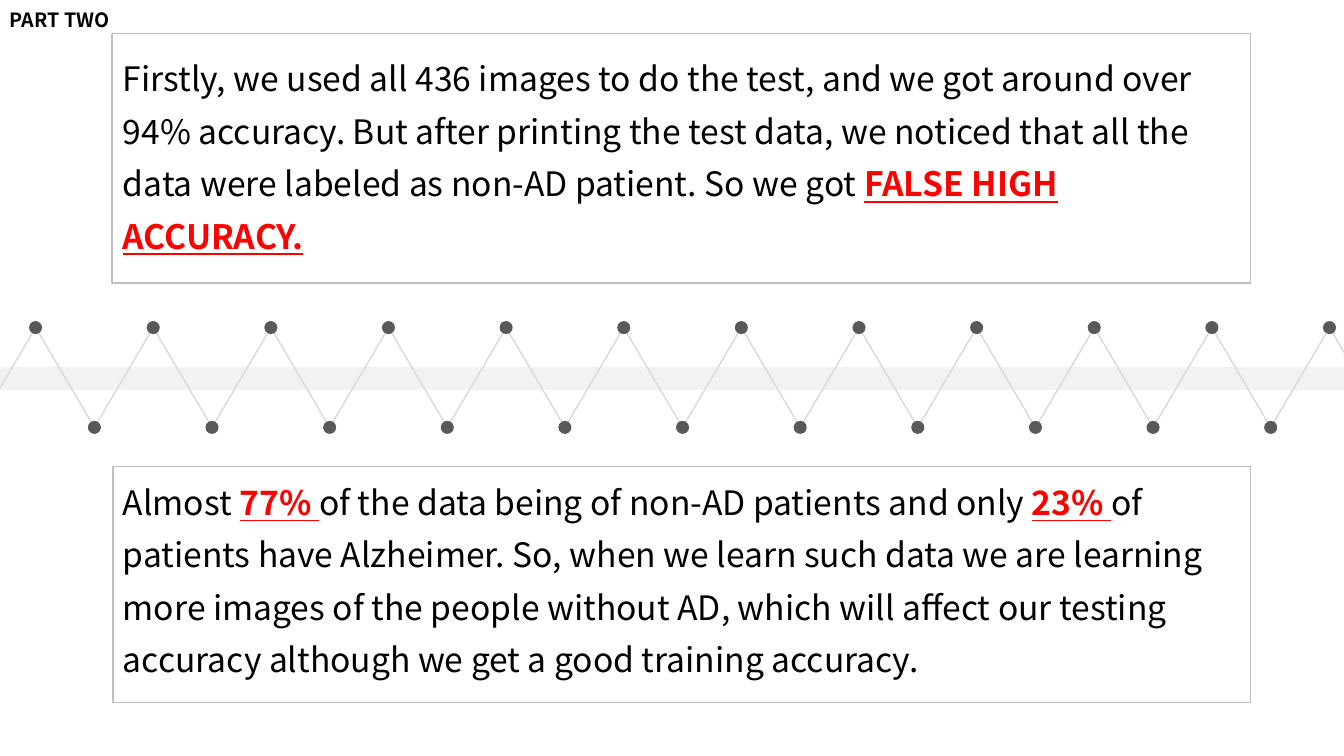
from dataclasses import dataclass

from lxml import etree
from pptx import Presentation
from pptx import util as u
from pptx.dml import color, fill
from pptx.enum import shapes, text
from pptx.oxml import ns
from pptx.shapes.autoshape import Shape
from pptx.slide import Slide

COLORS = {
    "band": "F2F2F2",
    "zigzag": "D9D9D9",
    "dot": "595959",
    "frame": "BFBFBF",
    "paper": "FFFFFF",
    "ink": "000000",
    "alert": "FF0000",
}
FONT = "Noto Sans CJK SC"
PEAKS = 12
PITCH = 7 / 6
ZIGZAG_LEFT = -0.23
PEAK_Y, VALLEY_Y = 3.25, 4.24
DOT = 0.13


@dataclass(frozen=True)
class Area:
    left: float
    top: float
    width: float
    height: float

    def lengths(self) -> tuple[u.Length, ...]:
        return tuple(u.Inches(n) for n in (self.left, self.top, self.width, self.height))


@dataclass(frozen=True)
class Span:
    words: str
    alert: bool = False


@dataclass(frozen=True)
class Finding:
    frame: Area
    body: Area
    spans: tuple[Span, ...]


FINDINGS = (
    Finding(
        Area(1.11, 0.33, 11.29, 2.48),
        Area(1.12, 0.41, 11.28, 2.68),
        (
            Span("Firstly, we used all 436 images to do the test, and we got around over "
                 "94% accuracy. But after printing the test data, we noticed that all the "
                 "data were labeled as non-AD patient. So we got "),
            Span("FALSE HIGH ACCURACY.", alert=True),
        ),
    ),
    Finding(
        Area(1.12, 4.63, 11.28, 2.34),
        Area(1.12, 4.61, 11.28, 2.68),
        (
            Span("Almost "),
            Span("77% ", alert=True),
            Span("of the data being of non-AD patients and only "),
            Span("23% ", alert=True),
            Span("of patients have Alzheimer. So, when we learn such data we are learning "
                 "more images of the people without AD, which will affect our testing "
                 "accuracy although we get a good training accuracy."),
        ),
    ),
)


def paint(target: fill.FillFormat, name: str | None) -> None:
    if name is None:
        target.background()
    else:
        target.solid()
        target.fore_color.rgb = color.RGBColor.from_string(COLORS[name])


def add_shape(page: Slide, kind: shapes.MSO_SHAPE, area: Area, *,
              inside: str | None = None, outline: str | None = None) -> Shape:
    shape = page.shapes.add_shape(kind, *area.lengths())
    shape.shadow.inherit = False
    paint(shape.fill, inside)
    paint(shape.line.fill, outline)
    if outline:
        shape.line.width = u.Pt(1)
    return shape


def add_text(page: Slide, area: Area, spans: tuple[Span, ...], *, size: float,
             spacing: float, bold: bool = False,
             anchor: text.MSO_ANCHOR = text.MSO_ANCHOR.TOP) -> None:
    frame = page.shapes.add_textbox(*area.lengths()).text_frame
    frame.word_wrap = True
    frame.vertical_anchor = anchor
    para = frame.paragraphs[0]
    para.line_spacing = spacing
    for span in spans:
        run = para.add_run()
        run.text = span.words
        run.font.name = FONT
        run.font.size = u.Pt(size)
        run.font.bold = bold or span.alert
        run.font.underline = span.alert
        paint(run.font.fill, "alert" if span.alert else "ink")


def add_base_line(page: Slide) -> None:
    line = page.shapes.add_connector(
        shapes.MSO_CONNECTOR.STRAIGHT,
        u.Inches(ZIGZAG_LEFT), u.Inches(VALLEY_Y),
        u.Inches(ZIGZAG_LEFT + PEAKS * PITCH), u.Inches(VALLEY_Y))
    paint(line.line.fill, "paper")
    line.line.width = u.Pt(3)
    etree.SubElement(line._element.spPr, ns.qn("a:effectLst"))


def add_zigzag(page: Slide) -> None:
    add_shape(page, shapes.MSO_SHAPE.RECTANGLE, Area(0, 3.64, 13.33, 0.23), inside="band")
    for peak in range(PEAKS):
        area = Area(ZIGZAG_LEFT + peak * PITCH, PEAK_Y, PITCH, VALLEY_Y - PEAK_Y)
        add_shape(page, shapes.MSO_SHAPE.ISOSCELES_TRIANGLE, area, outline="zigzag")
    add_base_line(page)
    for corner in range(1, 2 * PEAKS):
        middle = ZIGZAG_LEFT + corner * PITCH / 2
        height = PEAK_Y if corner % 2 else VALLEY_Y
        area = Area(middle - DOT / 2, height - DOT / 2, DOT, DOT)
        add_shape(page, shapes.MSO_SHAPE.OVAL, area, inside="dot")


def main() -> None:
    """Build the slide on false high accuracy and save it."""
    deck = Presentation()
    deck.slide_width, deck.slide_height = u.Inches(13.33), u.Inches(7.5)
    page = deck.slides.add_slide(deck.slide_layouts[6])
    add_zigzag(page)
    for finding in FINDINGS:
        add_shape(page, shapes.MSO_SHAPE.RECTANGLE, finding.frame, outline="frame")
        add_text(page, finding.body, finding.spans, size=24, spacing=1.3)
    add_text(page, Area(0, 0, 3.61, 0.43), (Span("PART TWO"),), size=14, spacing=0.9,
             bold=True, anchor=text.MSO_ANCHOR.MIDDLE)
    deck.save("out.pptx")


if __name__ == "__main__":
    main()
